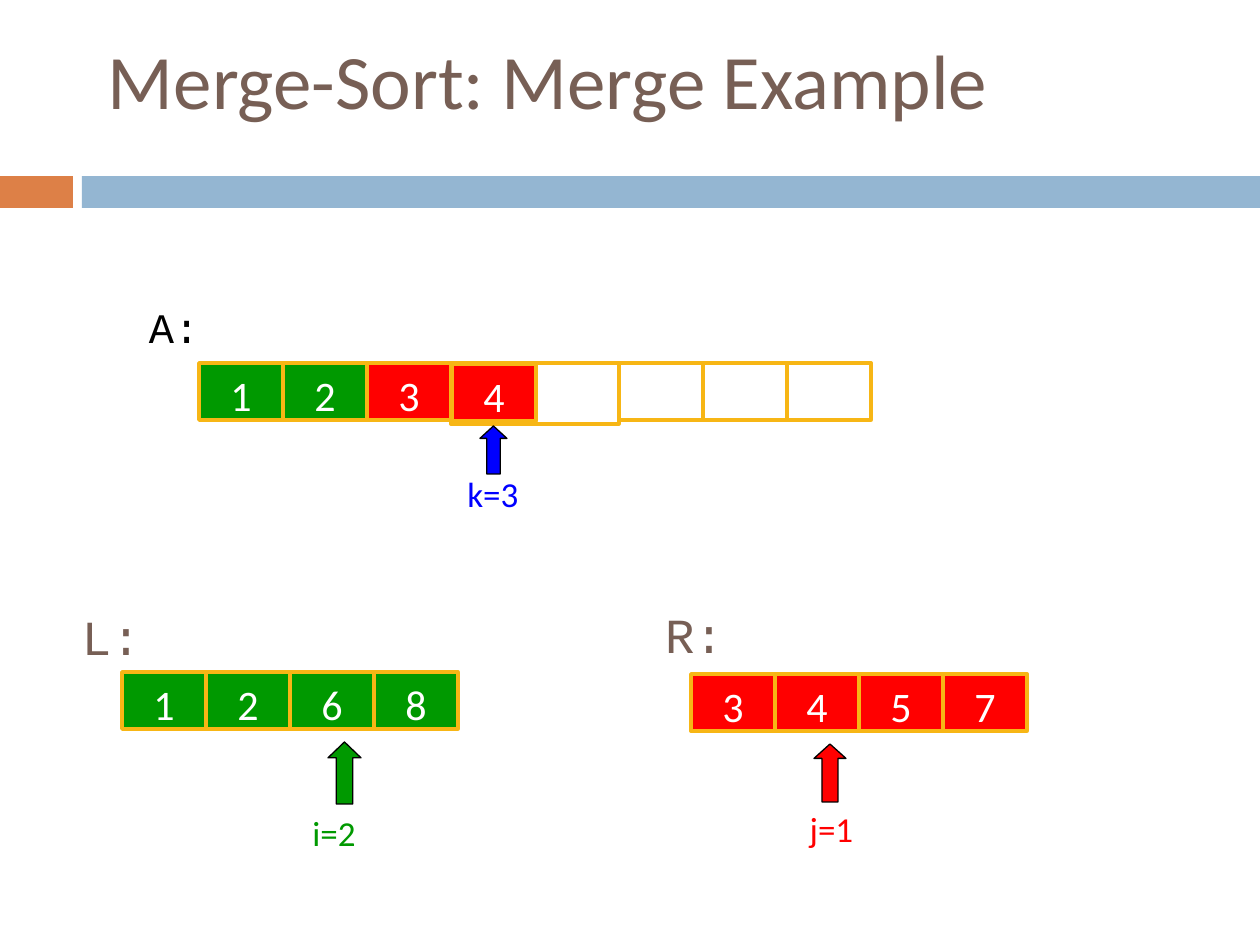
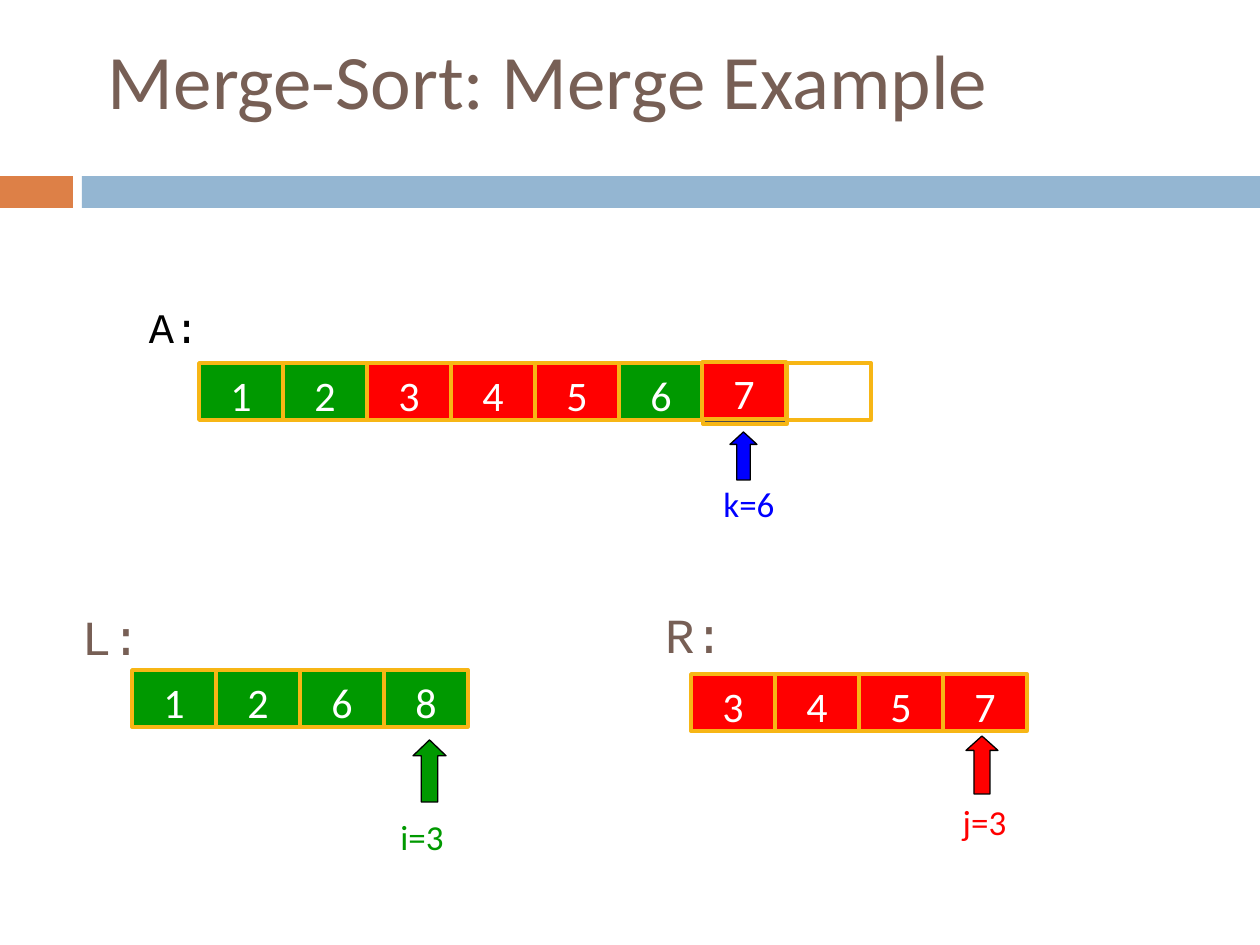
from pptx import Presentation
from pptx.dml.color import RGBColor
from pptx.enum.shapes import MSO_SHAPE
from pptx.enum.text import MSO_ANCHOR, PP_ALIGN
from pptx.util import Emu, Pt

PX = 914400 / 126

ORANGE = RGBColor(0xDD, 0x80, 0x47)
SKY = RGBColor(0x94, 0xB6, 0xD2)
BROWN = RGBColor(0x77, 0x5F, 0x55)
GOLD = RGBColor(0xF7, 0xB6, 0x15)
GREEN = RGBColor(0x00, 0x99, 0x00)
RED = RGBColor(0xFF, 0x00, 0x00)
BLUE = RGBColor(0x00, 0x00, 0xFF)
GRAY = RGBColor(0x4D, 0x4D, 0x4D)
WHITE = RGBColor(0xFF, 0xFF, 0xFF)
BLACK = RGBColor(0x00, 0x00, 0x00)

SANS, MONO = "Calibri", "Courier New"
CELL_W, CELL_H, TALL_H = 84, 57, 61
ROW_A = (199, 363)
ROW_R = (691, 674)

# index name: (colour, arrow width, arrow height, head ratio, label width, label inset)
POINTERS = {
    "i": (GREEN, 33, 62, 0.48, 60, 0),
    "j": (RED, 32, 58, 0.45, 95, 13),
    "k": (BLUE, 27, 48, 0.46, 102, 13),
}


def px(*lengths):
    return [Emu(round(n * PX)) for n in lengths]


def write(shape, text, size, font, color, align=PP_ALIGN.LEFT, insets=(13, 6, 13, 6)):
    tf = shape.text_frame
    tf.word_wrap = True
    tf.vertical_anchor = MSO_ANCHOR.TOP
    tf.margin_left, tf.margin_top, tf.margin_right, tf.margin_bottom = px(*insets)
    p = tf.paragraphs[0]
    p.text = text
    p.alignment = align
    p.font.size = Pt(size)
    p.font.name = font
    p.font.color.rgb = color


def add_block(s, kind, box, fill, line=None, width=2):
    sp = s.shapes.add_shape(kind, *px(*box))
    sp.shadow.inherit = False
    sp.fill.solid()
    sp.fill.fore_color.rgb = fill
    if line is None:
        sp.line.fill.background()
    else:
        sp.line.color.rgb = line
        sp.line.width = Pt(width)
    return sp


def add_label(s, box, text, size, font, color, **style):
    write(s.shapes.add_textbox(*px(*box)), text, size, font, color, **style)


def add_cell(s, x, y, value, fill, height=CELL_H):
    sp = add_block(s, MSO_SHAPE.RECTANGLE, (x, y, CELL_W, height), fill, GOLD)
    if value:
        write(sp, value, 24, SANS, WHITE, PP_ALIGN.CENTER, (13, 6, 13, 0))


def add_row(s, at, cells):
    x, y = at
    for n, cell in enumerate(cells):
        add_cell(s, x + n * CELL_W, y, *cell)


def add_pointer(s, name, value, arrow_at, label_at):
    color, width, height, head, label_w, inset = POINTERS[name]
    arrow = add_block(s, MSO_SHAPE.UP_ARROW, (*arrow_at, width, height), color, BLACK, 0.75)
    arrow.adjustments[0] = 0.5
    arrow.adjustments[1] = head
    add_label(s, (*label_at, label_w, 55), f"{name}={value}", 20, SANS, color,
              align=PP_ALIGN.CENTER, insets=(inset, 6, inset, 6))


def add_frame(prs, title):
    """Start a slide with its title and the two-colour band."""
    s = prs.slides.add_slide(prs.slide_layouts[5])
    add_block(s, MSO_SHAPE.RECTANGLE, (0, 176, 73, 32), ORANGE)
    add_block(s, MSO_SHAPE.RECTANGLE, (82, 176, 1178, 32), SKY)
    sp = s.shapes.title
    sp.left, sp.top, sp.width, sp.height = px(95, 0, 1071, 158)
    write(sp, title, 44, SANS, BROWN)
    sp.text_frame.vertical_anchor = MSO_ANCHOR.MIDDLE
    return s


def add_merge_step(prs, merged, current, left_at, pointers):
    """Show one step; current is the cell just copied into A."""
    s = add_frame(prs, "Merge-Sort: Merge Example")
    add_row(s, ROW_A, merged)
    add_label(s, (136, 296, 87, 63), "A:", 24, MONO, BLACK)
    add_label(s, (82, 601, 59, 72), "L:", 28, MONO, BROWN, insets=(0, 6, 0, 6))
    add_label(s, (665, 598, 59, 72), "R:", 28, MONO, BROWN, insets=(0, 6, 0, 6))
    add_row(s, left_at, [(v, GREEN) for v in "1268"])
    add_row(s, ROW_R, [(v, RED) for v in "3457"])
    add_cell(s, *current)
    for pointer in pointers:
        add_pointer(s, *pointer)


def main():
    prs = Presentation()
    prs.slide_width, prs.slide_height = px(1260, 945)

    empty = ("", WHITE)
    start = [("1", GREEN), ("2", GREEN), ("3", RED)]
    add_merge_step(
        prs,
        start + [("", GRAY, TALL_H), ("", WHITE, TALL_H)] + [empty] * 3,
        (452, 364, "4", RED),
        (122, 672),
        [("i", 2, (328, 742), (304, 805)),
         ("j", 1, (814, 744), (784, 801)),
         ("k", 3, (480, 426), (442, 466))])
    add_merge_step(
        prs,
        start + [("4", RED), ("5", RED), ("6", GREEN), ("", GRAY, TALL_H), empty],
        (702, 362, "7", RED),
        (132, 670),
        [("i", 3, (413, 740), (392, 809)),
         ("j", 3, (966, 736), (937, 794)),
         ("k", 6, (730, 432), (698, 476))])
    prs.save("out.pptx")


if __name__ == "__main__":
    main()
